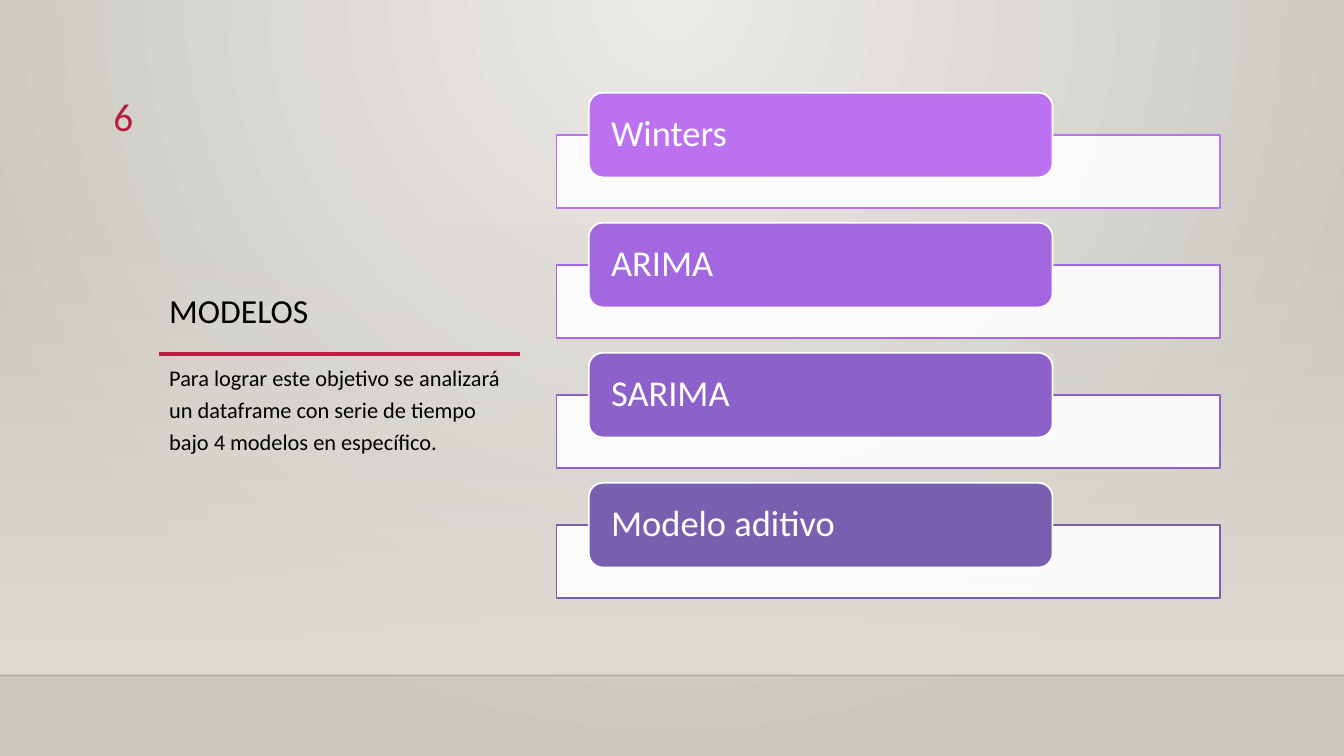
from lxml import etree
from pptx import Presentation
from pptx.dml.color import RGBColor
from pptx.enum.shapes import MSO_CONNECTOR, MSO_SHAPE
from pptx.enum.text import MSO_ANCHOR, PP_ALIGN
from pptx.oxml.ns import qn
from pptx.util import Inches, Pt

STRAIGHT = MSO_CONNECTOR.STRAIGHT
RECTANGLE, ROUNDED = MSO_SHAPE.RECTANGLE, MSO_SHAPE.ROUNDED_RECTANGLE
TOP, MIDDLE, BOTTOM = MSO_ANCHOR.TOP, MSO_ANCHOR.MIDDLE, MSO_ANCHOR.BOTTOM
LEFT, RIGHT = PP_ALIGN.LEFT, PP_ALIGN.RIGHT
CRIMSON, BLACK, WHITE = "B71E42", "000000", "FFFFFF"


def paint(color, value, parent=None, opacity=100):
    color.rgb = RGBColor.from_string(value)
    if opacity < 100:
        node = next(parent.iter(qn("a:srgbClr")))
        etree.SubElement(node, qn("a:alpha"), val=str(opacity * 1000))


def write(shape, text, size, color, anchor=TOP, align=LEFT, spacing=1.0, inset=0.1, margin=0.05):
    frame = shape.text_frame
    frame.word_wrap = True
    frame.vertical_anchor = anchor
    frame.margin_left = frame.margin_right = Inches(inset)
    frame.margin_top = frame.margin_bottom = Inches(margin)
    para = frame.paragraphs[0]
    para.alignment = align
    para.line_spacing = spacing
    span = para.add_run()
    span.text = text
    span.font.name = "Calibri"
    span.font.size = Pt(size)
    paint(span.font.color, color)


deck = Presentation()
deck.slide_width, deck.slide_height = Inches(13.33), Inches(7.5)
page = deck.slides.add_slide(deck.slide_layouts[6])
shapes = page.shapes

backdrop = page.background.fill
backdrop.gradient()
for stop, value in zip(backdrop.gradient_stops, ("ECEAE7", "CAC7C1")):
    paint(stop.color, value)
gradient = next(page.element.iter(qn("a:gradFill")))
gradient.remove(gradient.find(qn("a:lin")))
circle = etree.SubElement(gradient, qn("a:path"), path="circle")
etree.SubElement(circle, qn("a:fillToRect"), l="43000", t="0", r="43000", b="100000")

wall = shapes.add_shape(RECTANGLE, Inches(0), Inches(2.21), Inches(13.33), Inches(4.49))
wall.shadow.inherit = False
wall.line.fill.background()
wall.fill.gradient()
wall.fill.gradient_angle = 270
for stop in wall.fill.gradient_stops:
    paint(stop.color, "DFDBD5")
clear = next(wall.element.iter(qn("a:srgbClr")))
etree.SubElement(clear, qn("a:alpha"), val="0")

for left, right, top, color, width, opacity in (
    (0, 13.33, 6.7, "000001", 1, 20),
    (1.58, 5.16, 3.51, CRIMSON, 2.5, 100),
):
    rule = shapes.add_connector(STRAIGHT, Inches(left), Inches(top), Inches(right), Inches(top))
    rule.line.width = Pt(width)
    rule.line.fill.solid()
    paint(rule.line.fill.fore_color, color, rule.element.spPr, opacity)
    etree.SubElement(rule.element.spPr, qn("a:effectLst"))

title = shapes.add_textbox(Inches(1.58), Inches(0.87), Inches(3.58), Inches(2.46))
write(title, "MODELOS", 24, BLACK, anchor=BOTTOM, spacing=0.9)

models = (
    ("Winters", "BC72F0"),
    ("ARIMA", "A367DF"),
    ("SARIMA", "8C61C9"),
    ("Modelo aditivo", "795FAF"),
)
for row, (model, color) in enumerate(models):
    top = 0.92 + 1.29 * row
    panel = shapes.add_shape(RECTANGLE, Inches(5.52), Inches(top + 0.42), Inches(6.58), Inches(0.72))
    label = shapes.add_shape(ROUNDED, Inches(5.84), Inches(top), Inches(4.6), Inches(0.84))
    for box, fill, outline, opacity in ((panel, WHITE, color, 90), (label, color, WHITE, 100)):
        box.shadow.inherit = False
        box.fill.solid()
        paint(box.fill.fore_color, fill, box.element.spPr, opacity)
        paint(box.line.color, outline)
        box.line.width = Pt(1.25)
    write(label, model, 26, WHITE, anchor=MIDDLE, spacing=0.9, inset=0.18, margin=0)

summary = shapes.add_textbox(Inches(1.58), Inches(3.51), Inches(3.58), Inches(2.46))
write(
    summary,
    "Para lograr este objetivo se analizará un dataframe con serie de tiempo bajo 4 modelos en específico.",
    16, BLACK, spacing=1.2,
)

number = shapes.add_textbox(Inches(0.53), Inches(0.87), Inches(0.89), Inches(0.55))
write(number, "6", 28, CRIMSON, align=RIGHT)

deck.save("out.pptx")
